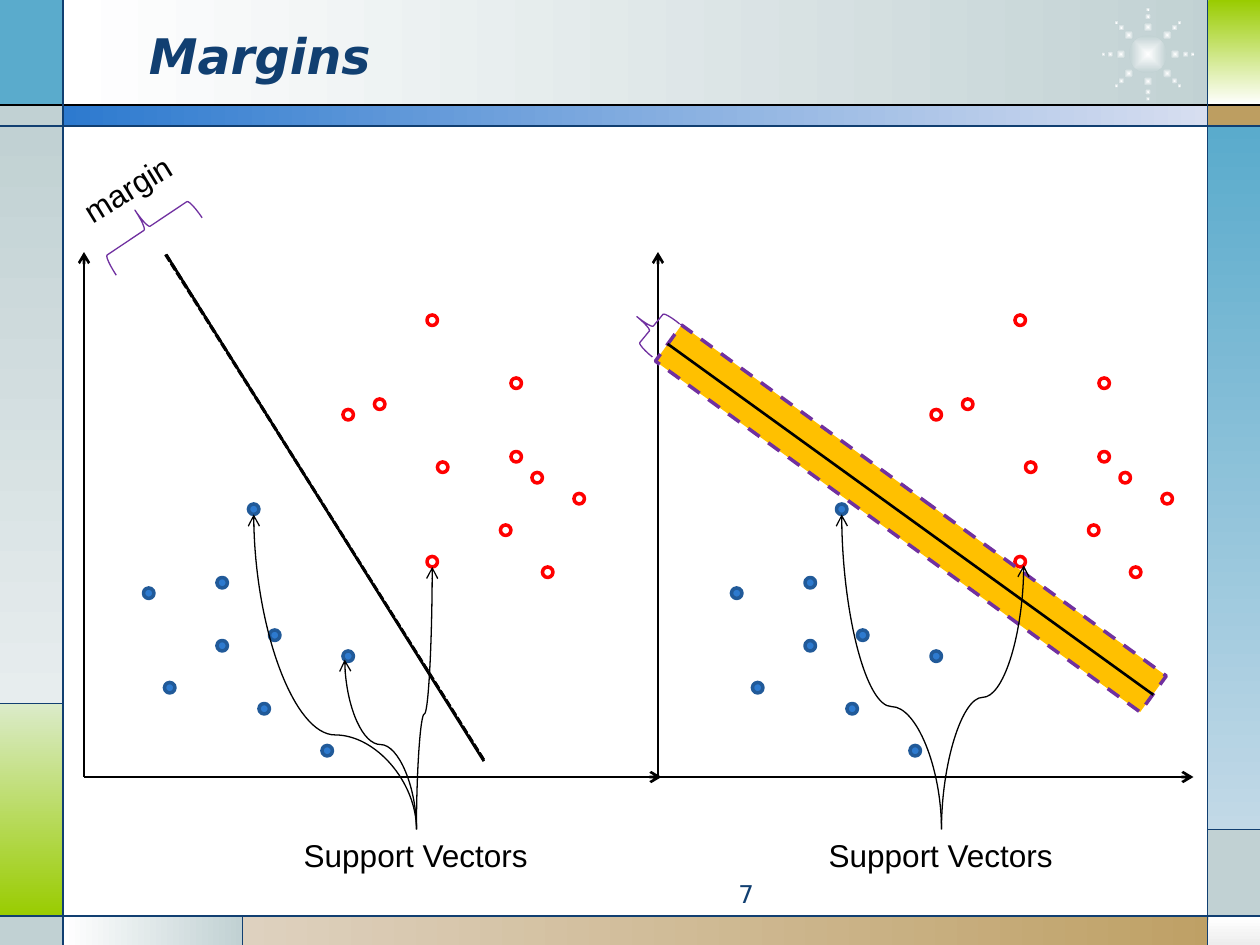
from math import cos, radians, sin

from lxml import etree
from pptx import Presentation
from pptx.dml.color import RGBColor
from pptx.enum.dml import MSO_LINE_DASH_STYLE as DASH
from pptx.enum.shapes import MSO_CONNECTOR as LINK, MSO_SHAPE as SHAPE
from pptx.enum.text import MSO_ANCHOR as ANCHOR, MSO_AUTO_SIZE as AUTO, PP_ALIGN as ALIGN
from pptx.oxml.ns import qn
from pptx.util import Pt

COLORS = {
    "white": "FFFFFF", "black": "000000", "navy": "113F71", "sky": "5AABCC",
    "pale sky": "C2D9E7", "mist": "C1D1D3", "pale mist": "E7EDEE",
    "lime": "99CC00", "pale lime": "DBEBC9", "tan": "BD9E61",
    "pale tan": "DED1BF", "smoke": "EDEDED", "blue": "2D7ACF",
    "pale blue": "D7DEF0", "dark blue": "215A99", "red": "FF0000",
    "purple": "7030A0", "amber": "FFC000",
}
RIGHT, DOWN = 0, 270

# left, top, width, height, colour(s), gradient direction
FRAME_PANELS = [
    (36, 0, 667.5, 60.5, ("white", "mist"), RIGHT),
    (0, 0, 36, 60.5, "sky", None),
    (0, 60, 36, 12, "mist", None),
    (0, 72, 36, 330, ("mist", "pale mist"), DOWN),
    (0, 402, 36, 122, ("pale lime", "lime"), DOWN),
    (0, 524, 36, 16, "mist", None),
    (36, 523.5, 102.5, 16.5, ("white", "mist"), RIGHT),
    (138.5, 523.5, 581.5, 16.5, ("pale tan", "tan"), RIGHT),
    (690.5, 524, 29.5, 16, ("white", "smoke"), DOWN),
    (690, 474, 30, 50, "mist", None),
    (690, 72, 30, 402, ("sky", "pale sky"), DOWN),
    (690, 60, 30, 12, "tan", None),
    (690.5, 0, 29.5, 60, ("lime", "white"), DOWN),
    (36, 60, 654.5, 12, ("blue", "pale blue"), RIGHT),
]
FRAME_LINES = [
    (0, 60, 720, 60, "black"), (0, 72, 720, 72, "navy"),
    (0, 523.5, 720, 523.5, "navy"), (36, 0, 36, 540, "navy"),
    (690, 0, 690, 540, "navy"), (36, 402, 0, 402, "navy"),
    (138.5, 523.5, 138.5, 540, "navy"), (690, 474, 720, 474, "navy"),
]
BLUE_POINTS = [(82, 336), (124, 330), (124, 366), (196, 372), (154, 360),
               (148, 402), (142, 288), (184, 426), (94, 390)]
RED_POINTS = [(214, 228), (292, 258), (244, 180), (250, 264), (244, 318), (196, 234),
              (286, 300), (292, 216), (310, 324), (328, 282), (304, 270)]
POINT_SIZE = 6
PLOT_SHIFT = 336


def rgb(name):
    return RGBColor.from_string(COLORS[name])


class SlidePainter:
    def __init__(self, slide):
        self.shapes = slide.shapes

    def shape(self, kind, left, top, width, height, fill=None, direction=None,
              line=None, weight=0.75, dash=None, turn=0):
        """Draw a preset shape; two fill colours make a gradient, radial without a direction."""
        shape = self.shapes.add_shape(kind, Pt(left), Pt(top), Pt(width), Pt(height))
        shape.shadow.inherit = False
        shape.rotation = turn
        if isinstance(fill, tuple):
            shape.fill.gradient()
            for stop, color in zip(shape.fill.gradient_stops, fill):
                stop.color.rgb = rgb(color)
            if direction is None:
                gradient = shape._element.spPr.find(qn("a:gradFill"))
                gradient.remove(gradient.find(qn("a:lin")))
                radial = etree.SubElement(gradient, qn("a:path"), path="shape")
                etree.SubElement(radial, qn("a:fillToRect"),
                                 dict.fromkeys("ltrb", "50000"))
            else:
                shape.fill.gradient_angle = direction
        elif fill:
            shape.fill.solid()
            shape.fill.fore_color.rgb = rgb(fill)
        else:
            shape.fill.background()
        if line:
            self.stroke(shape.line, line, weight, dash)
        else:
            shape.line.fill.background()

    def stroke(self, line, color, weight, dash=None):
        line.color.rgb = rgb(color)
        line.width = Pt(weight)
        if dash:
            line.dash_style = dash

    def line(self, x1, y1, x2, y2, color="black", weight=0.75, dash=None,
             arrow=False, kind=LINK.STRAIGHT):
        link = self.shapes.add_connector(kind, Pt(x1), Pt(y1), Pt(x2), Pt(y2))
        self.stroke(link.line, color, weight, dash)
        if arrow:
            etree.SubElement(link.line._get_or_add_ln(), qn("a:tailEnd"), type="arrow")
        etree.SubElement(link._element.spPr, qn("a:effectLst"))
        return link

    def rising_curve(self, x1, y1, x2, y2, bend=0.5):
        """Draw an S-curve that leaves upwards and bends at a share of its height."""
        length, span = y1 - y2, abs(x2 - x1)
        left, top = (x1 + x2 - length) / 2, (y1 + y2 - span) / 2
        link = self.line(left, top, left + length, top + span, arrow=True, kind=LINK.CURVE)
        frame = link._element.spPr.find(qn("a:xfrm"))
        frame.set("flipV", "1")
        if x2 > x1:
            frame.set("flipH", "1")
        frame.set("rot", str((90 if x2 > x1 else 270) * 60000))
        guides = link._element.spPr.find(qn("a:prstGeom")).find(qn("a:avLst"))
        etree.SubElement(guides, qn("a:gd"), name="adj1", fmla=f"val {round(bend * 100000)}")

    def text(self, words, left, top, width, height, size=18, font="Arial", color="black",
             align=ALIGN.LEFT, anchor=ANCHOR.TOP, heavy=False, wrap=False, turn=0):
        box = self.shapes.add_textbox(Pt(left), Pt(top), Pt(width), Pt(height))
        box.rotation = turn
        frame = box.text_frame
        frame.text = words
        frame.word_wrap = wrap
        frame.auto_size = AUTO.NONE if wrap else AUTO.SHAPE_TO_FIT_TEXT
        frame.vertical_anchor = anchor
        para = frame.paragraphs[0]
        para.alignment = align
        style = para.runs[0].font
        style.name, style.size = font, Pt(size)
        style.color.rgb = rgb(color)
        style.bold = style.italic = heavy

    def dot(self, center_x, center_y, size):
        self.shape(SHAPE.OVAL, center_x - size / 2, center_y - size / 2, size, size,
                   ("white", "mist"))

    def starburst(self, center_x, center_y):
        self.dot(center_x, center_y, 21.6)
        for angle in range(0, 360, 45):
            for radius, size in ((15.5, 5.4), (21.5, 3.6), (25.5, 2.5)):
                self.dot(center_x + radius * cos(radians(angle)),
                         center_y + radius * sin(radians(angle)), size)

    def scatter(self, shift):
        for points, fill, line in ((BLUE_POINTS, "blue", "dark blue"), (RED_POINTS, None, "red")):
            for left, top in points:
                self.shape(SHAPE.OVAL, left + shift, top, POINT_SIZE, POINT_SIZE,
                           fill, line=line, weight=2)

    def axes(self, left, right):
        self.line(left, 444, right, 444, weight=1.5, arrow=True)
        self.line(left, 444, left, 144, weight=1.5, arrow=True)

    def brace(self, left, top, width, height, turn):
        self.shape(SHAPE.LEFT_BRACE, left, top, width, height, line="purple", turn=turn)


def main():
    deck = Presentation()
    deck.slide_width, deck.slide_height = Pt(720), Pt(540)
    painter = SlidePainter(deck.slides.add_slide(deck.slide_layouts[6]))

    for left, top, width, height, fill, direction in FRAME_PANELS:
        painter.shape(SHAPE.RECTANGLE, left, top, width, height, fill, direction)
    painter.starburst(656, 31)
    for frame_line in FRAME_LINES:
        painter.line(*frame_line)

    painter.text("Margins", 78, 9, 528, 45, 28, "DejaVu Sans", "navy",
                 anchor=ANCHOR.MIDDLE, heavy=True, wrap=True)
    painter.text("7", 270, 499, 168, 19.5, 14, "DejaVu Sans", "navy",
                 align=ALIGN.RIGHT, wrap=True)

    # Narrow margin
    painter.axes(48, 378)
    painter.text("margin", 38, 93, 70, 29, turn=328.4)
    painter.scatter(0)
    for start, end, dash in ((95, 276.5, None), (95, 277, DASH.SQUARE_DOT),
                             (94.5, 277, DASH.SQUARE_DOT)):
        painter.line(start, 145.5, end, 435, weight=1.5, dash=dash)
    painter.brace(71.5, 101, 25, 59, 56.2)
    painter.text("Support Vectors", 166.5, 474, 144, 29)
    for x, y, bend in ((197, 377, 0.5), (145, 294, 0.3), (247, 324, 0.44)):
        painter.rising_curve(238, 474, x, y, bend)

    # Wide margin
    painter.axes(376, 682)
    painter.scatter(PLOT_SHIFT)
    painter.shape(SHAPE.RECTANGLE, 349.5, 283.5, 342, 25.5, "amber", line="purple",
                  weight=2, dash=DASH.DASH, turn=215.9)
    painter.line(381.5, 196.5, 659, 397, weight=1.5)
    painter.brace(361.5, 175.5, 21.5, 24.5, 39.3)
    painter.text("Support Vectors", 466.5, 474, 144, 29)
    for x, y, bend in ((481, 294, 0.39), (585, 323, 0.5)):
        painter.rising_curve(538, 474, x, y, bend)

    deck.save("out.pptx")


if __name__ == "__main__":
    main()
